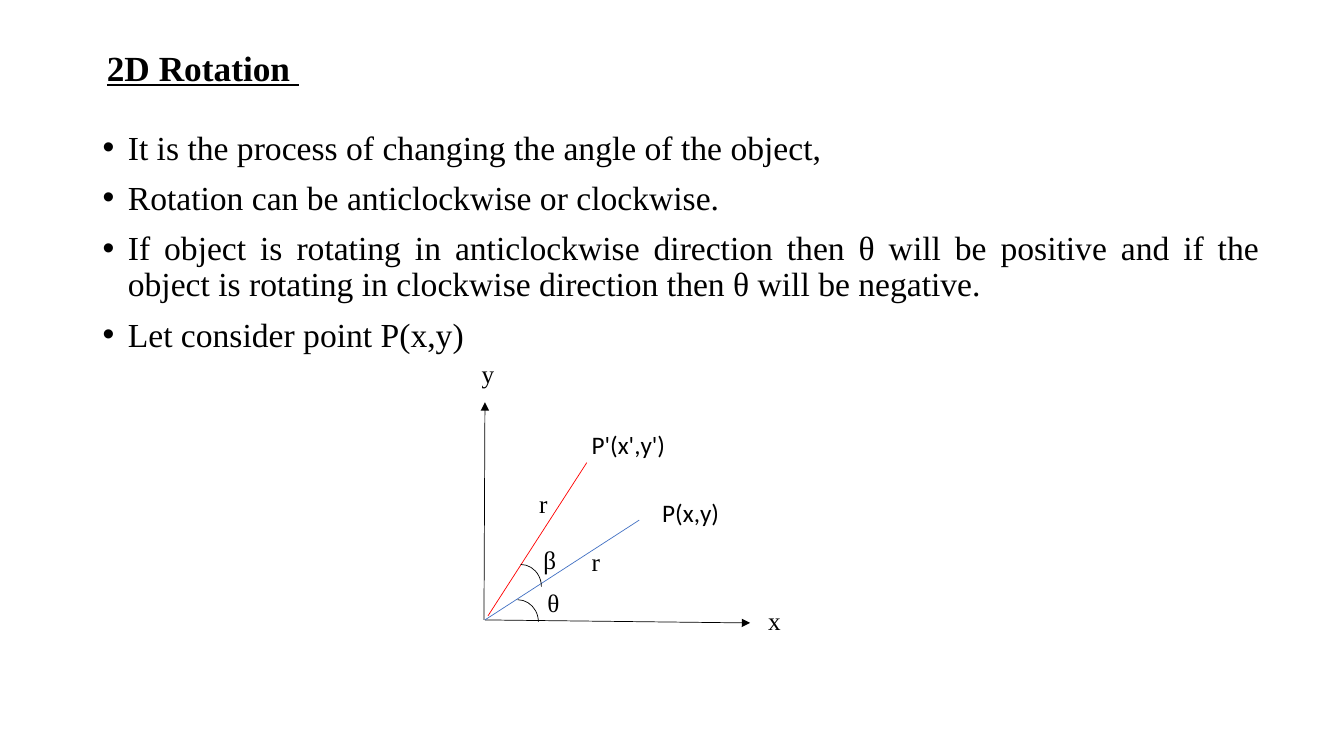
"""Build a slide that explains 2D rotation with a labelled diagram."""
import lxml.etree
import pptx
import pptx.dml.color
import pptx.enum.shapes
import pptx.enum.text
import pptx.oxml.ns
import pptx.util

Inches = pptx.util.Inches
Pt = pptx.util.Pt
qn = pptx.oxml.ns.qn
BLACK = pptx.dml.color.RGBColor(0x00, 0x00, 0x00)
BLUE = pptx.dml.color.RGBColor(0x44, 0x72, 0xC4)
RED = pptx.dml.color.RGBColor(0xFF, 0x00, 0x00)
SERIF = "Times New Roman"
SANS = "Calibri"

BULLETS = [
    "It is the process of changing the angle of the object,",
    "Rotation can be anticlockwise or clockwise. ",
    "If object is rotating in anticlockwise direction then θ will be positive and if "
    "the object is rotating in clockwise direction then θ will be negative.",
    "Let consider point P(x,y) ",
]
LINES = [
    (4.8, 6.15, 4.81, 3.99, BLACK, True),
    (4.81, 6.15, 7.44, 6.18, BLACK, True),
    (4.81, 6.15, 6.34, 5.16, BLUE, False),
    (4.84, 6.11, 5.82, 4.59, RED, False),
]
ARCS = [(4.96, 5.6), (4.93, 5.95)]
LABELS = [
    ("P(x,y)", 6.47, 4.88, SANS),
    ("P'(x',y')", 5.77, 4.21, SANS),
    ("θ", 5.33, 5.78, SERIF),
    ("β", 5.29, 5.35, SERIF),
    ("r", 5.77, 5.37, SERIF),
    ("r", 5.25, 4.8, SERIF),
    ("x", 7.52, 5.96, SERIF),
    ("y", 4.68, 3.51, SERIF),
]


def format_run(r, size, font=SERIF):
    """Set the size, font and colour of a run."""
    r.font.size = Pt(size)
    r.font.name = font
    r.font.color.rgb = BLACK


def set_title(s, text):
    """Place and format the title placeholder."""
    sp = s.shapes.title
    sp.left, sp.top, sp.width, sp.height = map(Inches, (0.96, 0.34, 11.5, 0.71))
    tf = sp.text_frame
    tf.text = text
    tf.vertical_anchor = pptx.enum.text.MSO_ANCHOR.MIDDLE
    p = tf.paragraphs[0]
    p.alignment = pptx.enum.text.PP_ALIGN.LEFT
    p.line_spacing = 0.9
    r = p.runs[0]
    format_run(r, 25.2)
    r.font.bold = True
    r.font.underline = True


def add_bullets(s, texts):
    """Add the justified bullet list."""
    sp = s.shapes.add_textbox(*map(Inches, (0.92, 1.25, 11.67, 5.51)))
    tf = sp.text_frame
    tf.word_wrap = True
    for i, text in enumerate(texts):
        p = tf.add_paragraph() if i else tf.paragraphs[0]
        p.text = text
        p.alignment = pptx.enum.text.PP_ALIGN.JUSTIFY
        p.line_spacing = 0.9
        p.space_before = Pt(10 if i else 0)
        pPr = p._p.get_or_add_pPr()
        pPr.set("marL", str(Inches(0.25)))
        pPr.set("indent", str(Inches(-0.25)))
        lxml.etree.SubElement(pPr, qn("a:buFont")).set("typeface", "Arial")
        lxml.etree.SubElement(pPr, qn("a:buChar")).set("char", "•")
        format_run(p.runs[0], 24)


def add_line(s, x1, y1, x2, y2, color, arrow):
    """Add a thin line, with an arrowhead at its end if wanted."""
    kind = pptx.enum.shapes.MSO_CONNECTOR.STRAIGHT
    sp = s.shapes.add_connector(kind, *map(Inches, (x1, y1, x2, y2)))
    sp.line.color.rgb = color
    sp.line.width = Pt(0.5)
    if arrow:
        ln = sp.line._get_or_add_ln()
        lxml.etree.SubElement(ln, qn("a:tailEnd")).set("type", "triangle")
    lxml.etree.SubElement(sp._element.spPr, qn("a:effectLst"))


def add_arc(s, x, y):
    """Add an arc that marks an angle."""
    kind = pptx.enum.shapes.MSO_SHAPE.ARC
    sp = s.shapes.add_shape(kind, *map(Inches, (x, y, 0.41, 0.44)))
    sp.shadow.inherit = False
    sp.fill.background()
    sp.line.color.rgb = BLACK
    sp.line.width = Pt(0.5)


def add_label(s, text, x, y, font):
    """Add a diagram label."""
    sp = s.shapes.add_textbox(*map(Inches, (x, y, 3, 0.4)))
    tf = sp.text_frame
    tf.word_wrap = True
    tf.auto_size = pptx.enum.text.MSO_AUTO_SIZE.SHAPE_TO_FIT_TEXT
    tf.text = text
    format_run(tf.paragraphs[0].runs[0], 18, font)


def main():
    """Build and save the slide."""
    prs = pptx.Presentation()
    prs.slide_width = Inches(13.33)
    prs.slide_height = Inches(7.5)
    s = prs.slides.add_slide(prs.slide_layouts[5])
    set_title(s, "2D Rotation ")
    add_bullets(s, BULLETS)
    for line in LINES:
        add_line(s, *line)
    for arc in ARCS:
        add_arc(s, *arc)
    for label in LABELS:
        add_label(s, *label)
    prs.save("out.pptx")


if __name__ == "__main__":
    main()
